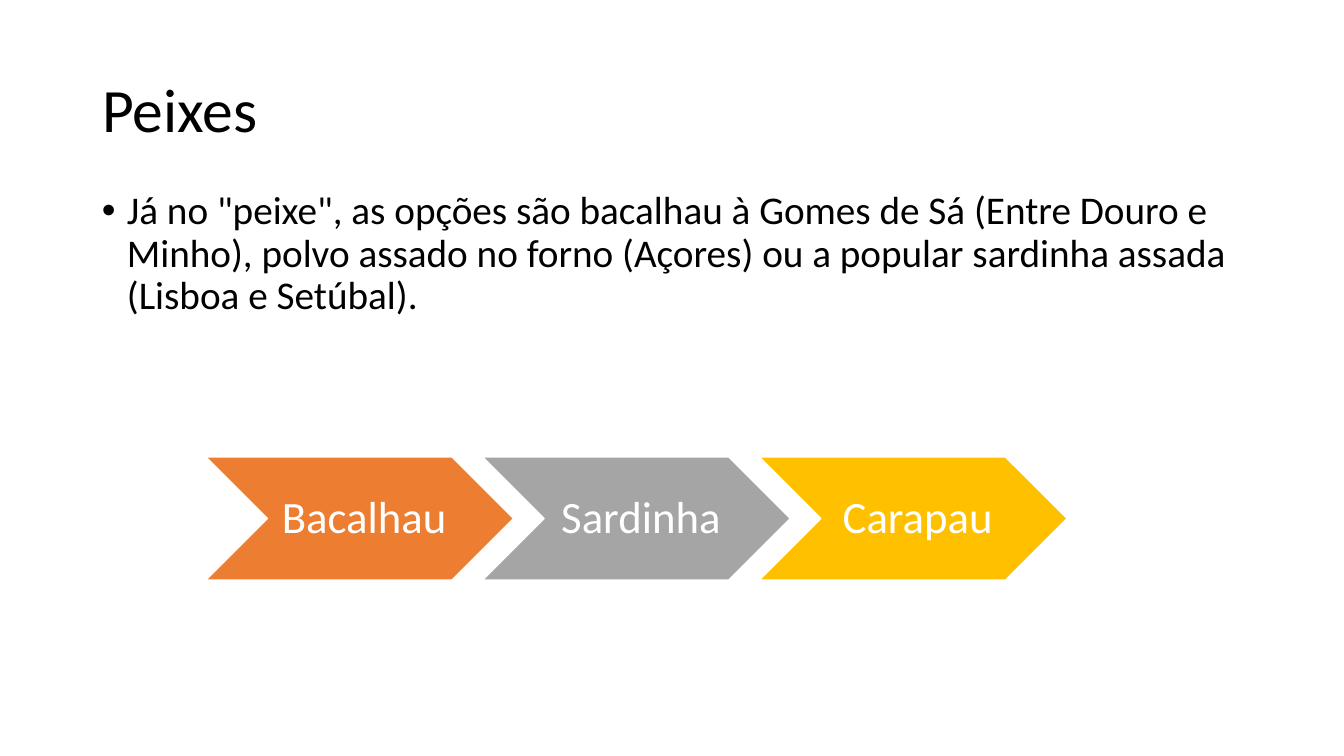
import pptx
import pptx.util
from pptx.dml.color import RGBColor
from pptx.enum.shapes import MSO_SHAPE
from pptx.enum.text import MSO_ANCHOR, MSO_AUTO_SIZE, PP_ALIGN
from pptx.oxml.ns import qn
from lxml import etree

PX = 914400 / 100.8
FISH = [("Bacalhau", "ED7D31"), ("Sardinha", "A5A5A5"), ("Carapau", "FFC000")]
BODY = ('Já no "peixe", as opções são bacalhau à Gomes de Sá (Entre Douro e Minho), '
        "polvo assado no forno (Açores) ou a popular sardinha assada (Lisboa e Setúbal).")


def px(n):
    return pptx.util.Emu(round(n * PX))


def color(value):
    return RGBColor.from_string(value)


def set_attrs(target, values):
    for name, value in values.items():
        setattr(target, name, value)


def write(shape, text, size, ink, frame, para):
    """Fill the shape with one paragraph in the given formats."""
    tf = shape.text_frame
    set_attrs(tf, {"auto_size": MSO_AUTO_SIZE.NONE, "word_wrap": True} | frame)
    p = tf.paragraphs[0]
    set_attrs(p, {"alignment": PP_ALIGN.LEFT, "line_spacing": 0.9} | para)
    r = p.add_run()
    r.text = text
    set_attrs(r.font, {"name": "Calibri", "size": pptx.util.Pt(size)})
    r.font.color.rgb = color(ink)
    return p


def add_title(s, x, y, w, h):
    title = s.shapes.title
    set_attrs(title, {"left": px(x), "top": px(y), "width": px(w), "height": px(h)})
    write(title, "Peixes", 44, "000000", {"vertical_anchor": MSO_ANCHOR.MIDDLE}, {})


def add_body(s, x, y, w, h):
    box = s.shapes.add_textbox(px(x), px(y), px(w), px(h))
    p = write(box, BODY, 28, "000000", {"vertical_anchor": MSO_ANCHOR.TOP},
              {"space_before": pptx.util.Pt(10)})
    pPr = p._p.get_or_add_pPr()
    pPr.set("marL", str(px(25)))
    pPr.set("indent", str(-px(25)))
    etree.SubElement(pPr, qn("a:buFont")).set("typeface", "Arial")
    etree.SubElement(pPr, qn("a:buChar")).set("char", "•")


def add_chevrons(s, x, y, w, h):
    """Spread the fish chevrons over the box, each overlapping the next by a tenth."""
    group = s.shapes.add_group_shape()
    chevron_w = w / (1 + 0.9 * (len(FISH) - 1))
    frame = {"vertical_anchor": MSO_ANCHOR.MIDDLE, "word_wrap": False,
             "margin_left": px(14), "margin_top": px(5),
             "margin_right": px(5), "margin_bottom": px(5)}
    for i, (name, fill) in enumerate(FISH):
        sp = group.shapes.add_shape(MSO_SHAPE.CHEVRON, px(x + i * 0.9 * chevron_w),
                                    px(y), px(chevron_w), px(h))
        sp.shadow.inherit = False
        sp.fill.solid()
        sp.fill.fore_color.rgb = color(fill)
        sp.line.color.rgb = color("FFFFFF")
        sp.line.width = pptx.util.Pt(1)
        write(sp, name, 32, "FFFFFF", frame, {"alignment": PP_ALIGN.CENTER})


def main():
    prs = pptx.Presentation()
    set_attrs(prs, {"slide_width": px(1344), "slide_height": px(756)})
    s = prs.slides.add_slide(prs.slide_layouts.get_by_name("Title Only"))
    s.background.fill.solid()
    s.background.fill.fore_color.rgb = color("FFFFFF")
    add_title(s, 92, 40, 1159, 146)
    add_body(s, 92, 186, 1159, 484)
    add_chevrons(s, 206, 457, 861, 123)
    prs.save("out.pptx")


if __name__ == "__main__":
    main()
